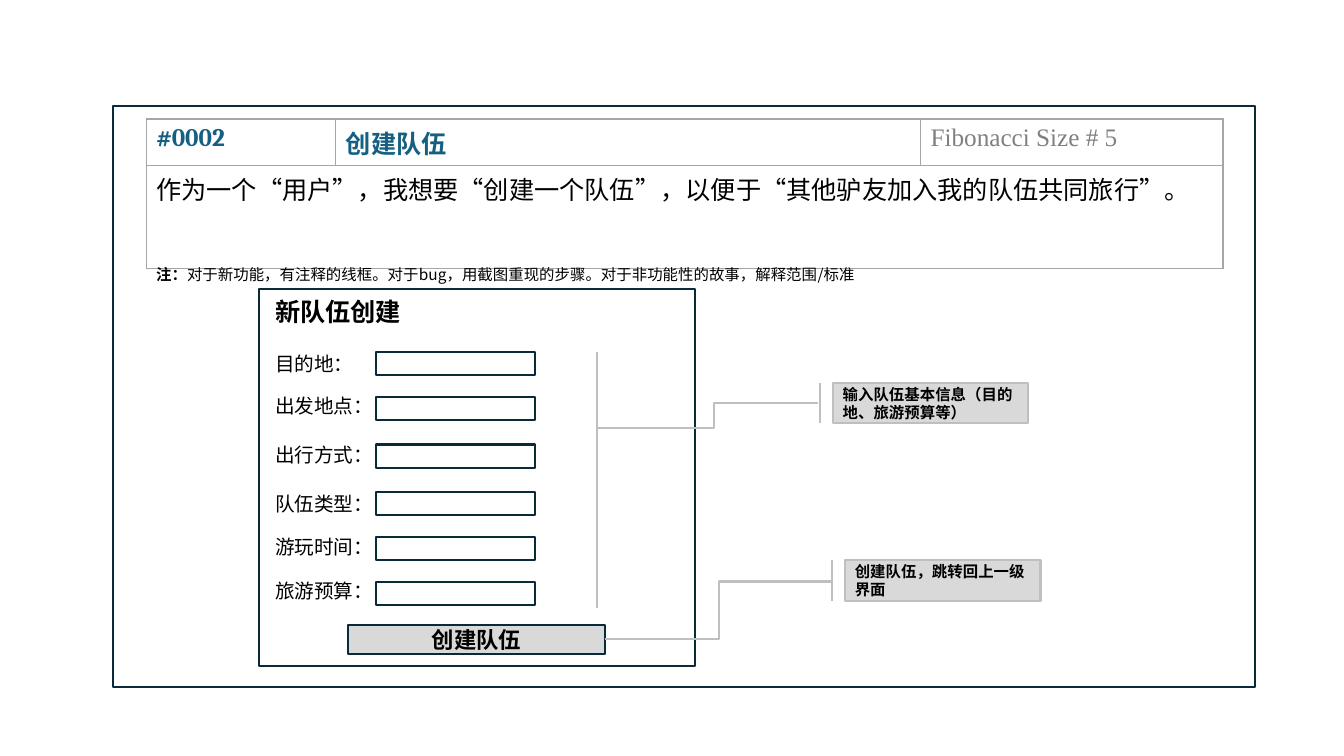
"""Builds a user story card with a team creation wireframe and callouts."""
from pptx import Presentation
from pptx import util as u
from pptx.dml.color import RGBColor
from pptx.enum import shapes, text
from pptx.oxml import parse_xml
from pptx.oxml.ns import nsdecls, qn

NAVY, BLUE, GREY, SILVER, LIGHT = "092A39", "156082", "808080", "BFBFBF", "D9D9D9"
SANS, SANS_JP, SERIF = "Noto Sans CJK SC", "Noto Sans CJK JP", "Times New Roman"

STORY_HEAD = [
    ("#0002", 1.88, dict(latin="Cambria", color=BLUE, bold=True)),
    ("创建队伍", 5.8, dict(latin="Cambria", asian=SANS_JP, color=BLUE, bold=True)),
    ("Fibonacci Size # 5", 3, dict(latin=SERIF, color=GREY)),
]
STORY = "作为一个“用户”，我想要“创建一个队伍”，以便于“其他驴友加入我的队伍共同旅行”。"
STORY_ROWS = (0.46, 1.02)
REMARK = ("注：", "对于新功能，有注释的线框。对于bug，用截图重现的步骤。对于非功能性的故事，解释范围/标准")
FORM_TITLE = "新队伍创建"
FIELDS = [
    ("目的地：", 3.44, 3.49),
    ("出发地点：", 3.86, 3.94),
    ("出行方式：", 4.34, 4.41),
    ("队伍类型：", 4.83, 4.88),
    ("游玩时间：", 5.26, 5.33),
    ("旅游预算：", 5.69, 5.77),
]
BUTTON = "创建队伍"
CALLOUTS = [
    ("输入队伍基本信息（目的地、旅游预算等）", 8.13, 3.8, (5.92, 4.25), (8.11, 4), 53000),
    ("创建队伍，跳转回上一级界面", 8.25, 5.56, (6, 6.34), (8.26, 5.77), 50000),
]
CALLOUT_HEIGHT, CALLOUT_GAP = 0.4, 0.13


def rgb(code):
    return RGBColor.from_string(code)


def write(paragraph, words, size=18, latin=SANS, asian=SANS, color="000000", bold=False):
    run = paragraph.add_run()
    run.text = words
    font = run.font
    font.size, font.bold, font.name = u.Pt(size), bold, latin
    font.color.rgb = rgb(color)
    props = font._element
    props.set("lang", "zh-CN")
    props.find(qn("a:latin")).addnext(parse_xml(f'<a:ea {nsdecls("a")} typeface="{asian}"/>'))


def text_box(slide, left, top, width, height, wrap=False, right_inset=0.1):
    frame = slide.shapes.add_textbox(*map(u.Inches, (left, top, width, height))).text_frame
    frame.word_wrap = wrap
    frame.margin_right = u.Inches(right_inset)
    return frame.paragraphs[0]


def rectangle(slide, left, top, width, height, fill=None, line=NAVY):
    box = slide.shapes.add_shape(
        shapes.MSO_SHAPE.RECTANGLE, *map(u.Inches, (left, top, width, height)))
    box.shadow.inherit = False
    if fill:
        box.fill.solid()
        box.fill.fore_color.rgb = rgb(fill)
    else:
        box.fill.background()
    box.line.color.rgb = rgb(line)
    box.line.width = u.Pt(1.5)
    frame = box.text_frame
    frame.word_wrap = True
    frame.vertical_anchor = text.MSO_ANCHOR.MIDDLE
    frame.paragraphs[0].alignment = text.PP_ALIGN.LEFT
    return frame.paragraphs[0]


def connect(slide, start, end, bend=None):
    kind = shapes.MSO_CONNECTOR.ELBOW if bend else shapes.MSO_CONNECTOR.STRAIGHT
    link = slide.shapes.add_connector(kind, *map(u.Inches, (*start, *end)))
    link.line.color.rgb = rgb(SILVER)
    link.line.width = u.Pt(1.5)
    props = link._element.spPr
    props.append(parse_xml(f'<a:effectLst {nsdecls("a")}/>'))
    if bend:
        guides = props.find(qn("a:prstGeom")).get_or_add_avLst()
        guides.append(parse_xml(f'<a:gd {nsdecls("a")} name="adj1" fmla="val {bend}"/>'))


def outline_cell(cell):
    props = cell._tc.get_or_add_tcPr()
    for side in ("lnL", "lnR", "lnT", "lnB"):
        props.append(parse_xml(
            f'<a:{side} {nsdecls("a")} w="12700"><a:solidFill>'
            f'<a:srgbClr val="A6A6A6"/></a:solidFill></a:{side}>'))
    cell.fill.background()


def story_table(slide):
    frame = slide.shapes.add_table(
        2, 3, *map(u.Inches, (1.45, 1.18, 10.68, sum(STORY_ROWS))))
    table = frame.table
    table.first_row = table.horz_banding = False
    for row, height in zip(table.rows, STORY_ROWS):
        row.height = u.Inches(height)
    for column, (words, width, style) in enumerate(STORY_HEAD):
        table.columns[column].width = u.Inches(width)
        write(table.cell(0, column).text_frame.paragraphs[0], words, **style)
    table.cell(1, 0).merge(table.cell(1, 2))
    write(table.cell(1, 0).text_frame.paragraphs[0], STORY, latin=SERIF)
    for cell in table.iter_cells():
        outline_cell(cell)


def wireframe(slide):
    rectangle(slide, 2.57, 2.87, 4.32, 3.74)
    write(text_box(slide, 2.63, 2.89, 3.38, 0.4), FORM_TITLE, bold=True)
    for label, label_top, input_top in FIELDS:
        write(text_box(slide, 2.63, label_top, 1.09, 0.34, right_inset=0), label, size=14)
        rectangle(slide, 3.73, input_top, 1.58, 0.23)
    button = rectangle(slide, 3.45, 6.2, 2.55, 0.29, fill=LIGHT)
    button.alignment = text.PP_ALIGN.CENTER
    write(button, BUTTON, size=16, bold=True)
    connect(slide, (5.92, 3.49), (5.92, 6.03))


def main():
    deck = Presentation()
    deck.slide_width, deck.slide_height = u.Inches(13.33), u.Inches(7.5)
    slide = deck.slides.add_slide(deck.slide_layouts[6])
    rectangle(slide, 1.12, 1.05, 11.33, 5.77)
    story_table(slide)
    remark = text_box(slide, 1.45, 2.58, 10.68, 0.29, wrap=True)
    for words, bold in zip(REMARK, (True, False)):
        write(remark, words, size=11, bold=bold)
    wireframe(slide)
    for words, bar, top, start, end, bend in CALLOUTS:
        connect(slide, start, end, bend)
        connect(slide, (bar, top), (bar, top + CALLOUT_HEIGHT))
        callout = rectangle(
            slide, bar + CALLOUT_GAP, top, 1.94, CALLOUT_HEIGHT, fill=LIGHT, line=SILVER)
        write(callout, words, size=11, bold=True)
    deck.save("out.pptx")


if __name__ == "__main__":
    main()
